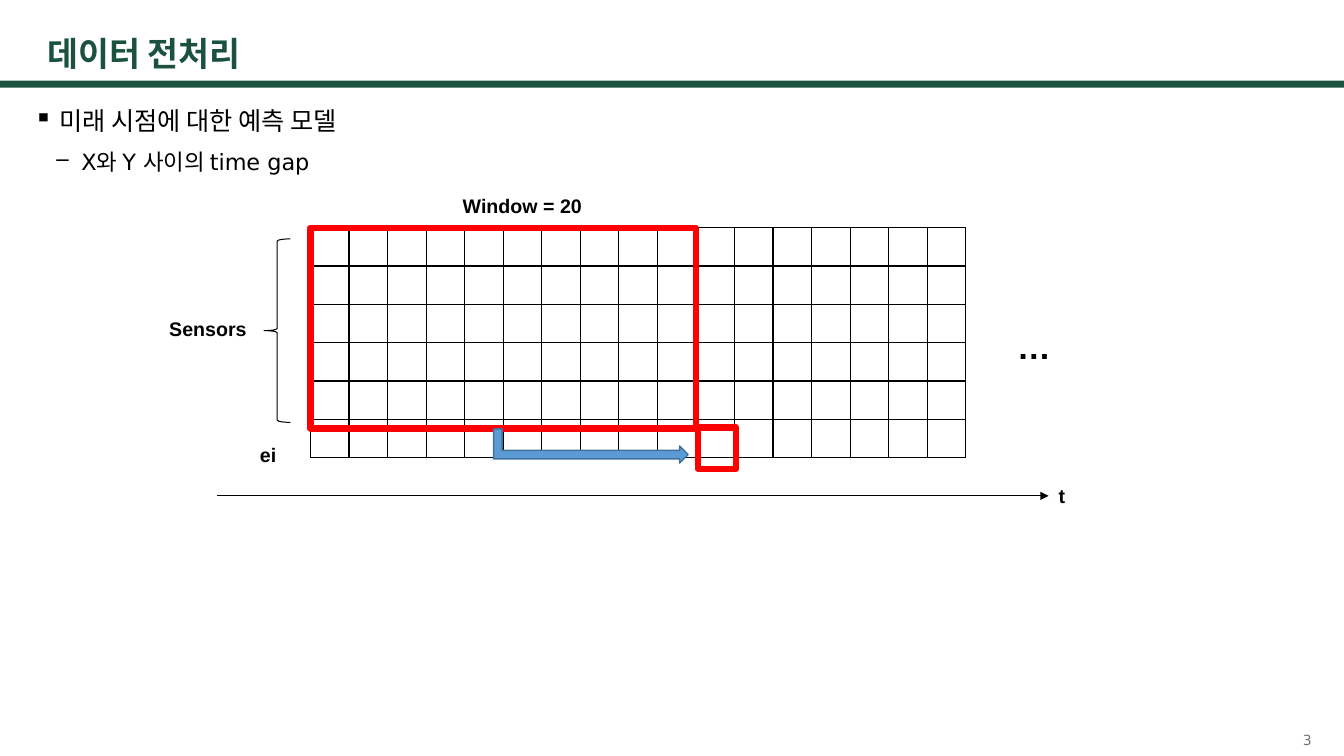
"""Builds the data preprocessing slide with a sliding sensor window over time."""
from lxml.etree import SubElement
from pptx import Presentation
from pptx.dml.color import RGBColor
from pptx.enum.shapes import MSO_CONNECTOR, MSO_SHAPE as SHAPE
from pptx.enum.text import MSO_ANCHOR as ANCHOR, PP_ALIGN as ALIGN
from pptx.oxml.ns import qn
from pptx.util import Inches, Pt

GREEN, BLACK, RED = "1A523F", "000000", "FF0000"
color = RGBColor.from_string

prs = Presentation()
prs.slide_width, prs.slide_height = Inches(13.33), Inches(7.5)
slide = prs.slides.add_slide(prs.slide_layouts[6])
shapes = slide.shapes


def add_text(text, box, size, font="Arial", ink=BLACK, bold=True, anchor=ANCHOR.TOP):
    frame = shapes.add_textbox(*map(Inches, box)).text_frame
    frame.word_wrap = True
    frame.vertical_anchor = anchor
    frame.text = text
    for paragraph in frame.paragraphs:
        for run in paragraph.runs:
            run.font.name, run.font.size, run.font.bold = font, Pt(size), bold
            run.font.color.rgb = color(ink)
    return frame


def add_figure(kind, box, fill=None, line=None, width=1):
    figure = shapes.add_shape(kind, *map(Inches, box))
    figure.shadow.inherit = False
    if fill:
        figure.fill.solid()
        figure.fill.fore_color.rgb = color(fill)
    else:
        figure.fill.background()
    if line:
        figure.line.color.rgb = color(line)
        figure.line.width = Pt(width)
    else:
        figure.line.fill.background()
    return figure


add_figure(SHAPE.RECTANGLE, (0, 0.8, 13.33, 0.07), fill=GREEN)

body = add_text("미래 시점에 대한 예측 모델\nX와 Y 사이의 time gap", (0.24, 0.94, 12.86, 6.2),
                18, "DejaVu Sans", bold=False)
for point, bullet, indent, size in zip(body.paragraphs, "▪–", (0.25, 0.47), (18, 16)):
    props = point._p.get_or_add_pPr()
    props.set("marL", str(Inches(indent)))
    props.set("indent", str(Inches(-0.25)))
    SubElement(props, qn("a:buChar")).set("char", bullet)
    point.line_spacing = 1.2
    point.runs[0].font.size = Pt(size)
body.paragraphs[1].level = 1
body.paragraphs[1].space_before = Pt(5)

title = add_text("데이터 전처리", (0.37, 0.29, 12.6, 0.52), 24, "DejaVu Sans", GREEN,
                 anchor=ANCHOR.MIDDLE)
title.paragraphs[0].line_spacing = 0.9
page_number = add_text("3", (10.11, 7.24, 3, 0.2), 10, "DejaVu Sans", "757070",
                       bold=False, anchor=ANCHOR.MIDDLE)
page_number.paragraphs[0].alignment = ALIGN.RIGHT

readings = shapes.add_table(6, 17, Inches(3.08), Inches(2.26), Inches(6.5), Inches(2.28)).table
readings.first_row = readings.horz_banding = False
for column in readings.columns:
    column.width = Inches(6.5 / 17)
for cell in readings.iter_cells():
    cell.margin_top = cell.margin_bottom = 0
    props = cell._tc.get_or_add_tcPr()
    for side in ("a:lnL", "a:lnR", "a:lnT", "a:lnB"):
        border = SubElement(props, qn(side), w=str(Pt(1)))
        SubElement(SubElement(border, qn("a:solidFill")), qn("a:srgbClr")).set("val", BLACK)
    cell.fill.solid()
    cell.fill.fore_color.rgb = color("FFFFFF")

time_axis = shapes.add_connector(MSO_CONNECTOR.STRAIGHT, Inches(2.15), Inches(4.92),
                                 Inches(10.4), Inches(4.92))
time_axis.line.color.rgb = color(BLACK)
time_axis.line.width = Pt(0.75)
SubElement(time_axis.line._get_or_add_ln(), qn("a:tailEnd")).set("type", "triangle")
SubElement(time_axis._element.spPr, qn("a:effectLst"))

for label, box, size in (
    ("…", (9.99, 3.18, 1.05, 0.5), 24),
    ("t", (10.4, 4.75, 0.78, 0.34), 14),
    ("ei", (2.48, 4.34, 0.78, 0.34), 14),
    ("Sensors", (1.58, 3.09, 1.3, 0.34), 14),
    ("Window = 20", (4.49, 1.87, 1.68, 0.34), 14),
):
    add_text(label, box, size)

sensor_brace = add_figure(SHAPE.LEFT_BRACE, (2.62, 2.37, 0.26, 1.82), line=BLACK, width=0.75)
sensor_brace.adjustments[0] = 0.083
for box in ((3.08, 2.26, 3.82, 1.99), (6.92, 4.24, 0.38, 0.41)):
    add_figure(SHAPE.RECTANGLE, box, line=RED, width=4.5)
time_gap = add_figure(SHAPE.BENT_UP_ARROW, (5.69, 3.46, 0.34, 1.93), "5B9BD5", "42719B")
time_gap.rotation = 90

prs.save("out.pptx")
